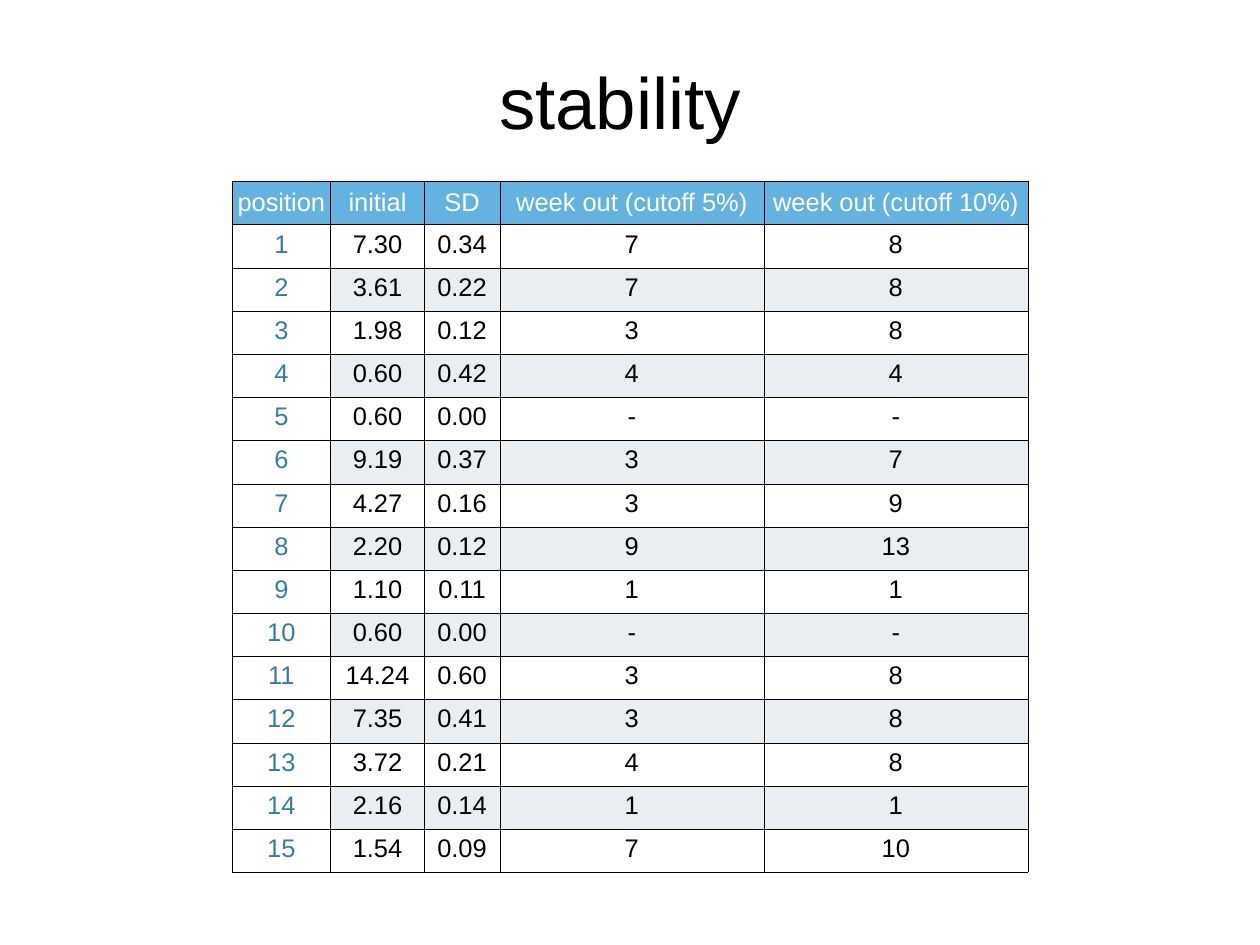
from lxml import etree
from pptx import Presentation
from pptx import util as u
from pptx.dml.color import RGBColor
from pptx.enum import text
from pptx.oxml.ns import qn

PX = 9144  # 100 px to the inch
FONT = "Arial"
COLORS = {
    "header": "64B2DF",
    "band": "E8EEF1",
    "white": "FFFFFF",
    "position": "367DA2",
    "black": "000000",
}
HEADERS = ["position", "initial", "SD", "week out (cutoff 5%)", "week out (cutoff 10%)"]
MEASUREMENTS = [
    ("7.30", "0.34", "7", "8"),
    ("3.61", "0.22", "7", "8"),
    ("1.98", "0.12", "3", "8"),
    ("0.60", "0.42", "4", "4"),
    ("0.60", "0.00", "-", "-"),
    ("9.19", "0.37", "3", "7"),
    ("4.27", "0.16", "3", "9"),
    ("2.20", "0.12", "9", "13"),
    ("1.10", "0.11", "1", "1"),
    ("0.60", "0.00", "-", "-"),
    ("14.24", "0.60", "3", "8"),
    ("7.35", "0.41", "3", "8"),
    ("3.72", "0.21", "4", "8"),
    ("2.16", "0.14", "1", "1"),
    ("1.54", "0.09", "7", "10"),
]
COLUMN_WIDTHS = [111, 106, 85, 298, 298]
TABLE_LEFT, TABLE_TOP, TABLE_HEIGHT = 262, 205, 780


def add_centred_text(para, words, size, color):
    para.alignment = text.PP_ALIGN.CENTER
    span = para.add_run()
    span.text = words
    span.font.name = FONT
    span.font.size = u.Pt(size)
    span.font.color.rgb = RGBColor.from_string(COLORS[color])


def add_border(cell, side, width):
    """Draw one side (L, R, T or B) of a cell, before its fill is set."""
    line = etree.SubElement(cell._tc.get_or_add_tcPr(), qn(f"a:ln{side}"), w=str(u.Pt(width)))
    fill = etree.SubElement(line, qn("a:solidFill"))
    etree.SubElement(fill, qn("a:srgbClr"), val=COLORS["black"])


deck = Presentation()
deck.slide_width, deck.slide_height = 1422 * PX, 1067 * PX
page = deck.slides.add_slide(deck.slide_layouts[5])

# Title
title = page.shapes.title
title.left, title.top, title.width, title.height = (n * PX for n in (555, 58, 313, 110))
frame = title.text_frame
frame.word_wrap = False
frame.auto_size = text.MSO_AUTO_SIZE.SHAPE_TO_FIT_TEXT
frame.vertical_anchor = text.MSO_ANCHOR.MIDDLE
frame.margin_left = frame.margin_right = frame.margin_top = frame.margin_bottom = 6 * PX
add_centred_text(frame.paragraphs[0], "stability ", 59, "black")

# Table: header row, then one numbered row per position
rows = [HEADERS] + [(str(number), *values) for number, values in enumerate(MEASUREMENTS, 1)]
table = page.shapes.add_table(
    len(rows), len(HEADERS), TABLE_LEFT * PX, TABLE_TOP * PX,
    sum(COLUMN_WIDTHS) * PX, TABLE_HEIGHT * PX,
).table
table.first_row = table.horz_banding = False
for column, width in zip(table.columns, COLUMN_WIDTHS):
    column.width = width * PX
for row in table.rows:
    row.height = TABLE_HEIGHT * PX // len(rows)

for r, values in enumerate(rows):
    for c, value in enumerate(values):
        cell = table.cell(r, c)
        cell.margin_left = cell.margin_right = 5 * PX
        cell.margin_top = cell.margin_bottom = 6 * PX
        cell.vertical_anchor = text.MSO_ANCHOR.MIDDLE if r == 0 else text.MSO_ANCHOR.TOP

        # The lines under the header and beside the position column are heavier
        add_border(cell, "L", 0.75 if r > 0 and c == 1 else 0.25)
        add_border(cell, "R", 0.75 if r > 0 and c == 0 else 0.25)
        add_border(cell, "T", 0.75 if r == 1 else 0.25)
        add_border(cell, "B", 0.75 if r == 0 else 0.25)

        if r == 0:
            fill, color = "header", "white"
        elif c == 0:
            fill, color = "white", "position"
        else:
            fill, color = (None if r % 2 else "band"), "black"
        if fill:
            cell.fill.solid()
            cell.fill.fore_color.rgb = RGBColor.from_string(COLORS[fill])
        else:
            cell.fill.background()
        add_centred_text(cell.text_frame.paragraphs[0], value, 20.7, color)

deck.save("out.pptx")
